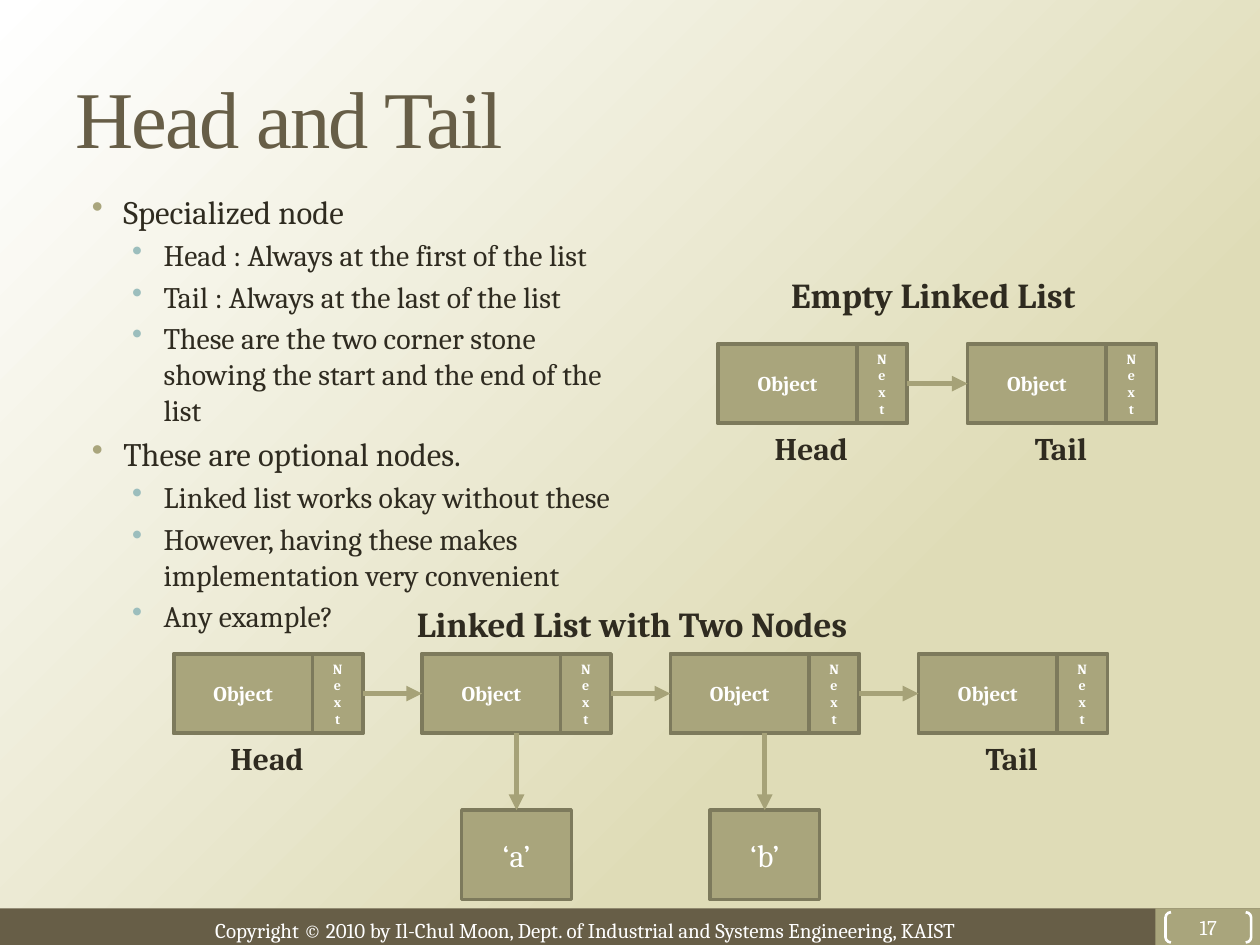
from copy import deepcopy
from dataclasses import dataclass

from pptx import Presentation
from pptx.dml.color import RGBColor
from pptx.enum.shapes import MSO_CONNECTOR, MSO_SHAPE
from pptx.enum.text import MSO_ANCHOR, MSO_AUTO_SIZE, PP_ALIGN
from pptx.oxml.ns import qn
from pptx.oxml.xmlchemy import OxmlElement
from pptx.util import Inches, Pt

RECT, BRACKETS = MSO_SHAPE.RECTANGLE, MSO_SHAPE.DOUBLE_BRACKET
STRAIGHT = MSO_CONNECTOR.STRAIGHT
MIDDLE, CENTER, LEFT = MSO_ANCHOR.MIDDLE, PP_ALIGN.CENTER, PP_ALIGN.LEFT
FIT, NO_FIT = MSO_AUTO_SIZE.SHAPE_TO_FIT_TEXT, MSO_AUTO_SIZE.NONE
TOP_SIDE, LEFT_SIDE, BOTTOM_SIDE, RIGHT_SIDE = range(4)

COLORS = {
    "bar": "675E47", "box": "A9A57C", "edge": "7D7A5C", "arrow": "A6A278",
    "ink": "2F2B20", "white": "FFFFFF", "sand": "DFDCB7", "sub": "9CBEBD",
}
NODE_W, NODE_H, OBJECT_W = 1.5, 0.63, 1.1
VALUE_W, VALUE_H, VALUE_TOP = 0.87, 0.71, 6.43


@dataclass
class Level:
    size: float
    margin: float
    bullet: str


@dataclass
class Label:
    text: str
    left: float
    top: float
    width: float
    height: float
    size: float
    color: str = "ink"
    bold: bool = True


@dataclass
class LinkedList:
    left: float
    top: float
    step: float
    values: tuple


LEVELS = (Level(18.7, 0.38, "box"), Level(17, 0.7, "sub"))
BODY = (
    (0, "Specialized node"),
    (1, "Head : Always at the first of the list"),
    (1, "Tail : Always at the last of the list"),
    (1, "These are the two corner stone showing the start and the end of the list"),
    (0, "These are optional nodes."),
    (1, "Linked list works okay without these"),
    (1, "However, having these makes implementation very convenient"),
    (1, "Any example?"),
)
LISTS = (
    LinkedList(1.38, 5.19, 1.97, (None, "‘a’", "‘b’", None)),
    LinkedList(5.7, 2.73, 1.98, (None, None)),
)
LABELS = (
    Label("Copyright © 2010 by Il-Chul Moon, Dept. of Industrial and Systems Engineering, KAIST",
          1.61, 7.23, 6.41, 0.3, 12, "white", False),
    Label("Empty Linked List", 6.18, 2.12, 2.52, 0.44, 20),
    Label("Linked List with Two Nodes", 3.21, 4.73, 3.73, 0.44, 20),
)


def rgb(name: str) -> RGBColor:
    return RGBColor.from_string(COLORS[name])


def write(p, text: str, size: float, color: str, align=LEFT, bold=False, name="Cambria") -> None:
    p.text = text
    p.alignment = align
    for r in p.runs:
        for attr, value in {"name": name, "size": Pt(size), "bold": bold}.items():
            setattr(r.font, attr, value)
        r.font.color.rgb = rgb(color)
    for br in p._p.findall(qn("a:br")):
        br.append(deepcopy(p.runs[0]._r.rPr))


def add_box(shapes, left: float, top: float, width: float, height: float, fill="box",
            edge="edge", weight=2, text="", size=12, bold=False, kind=RECT):
    sp = shapes.add_shape(kind, Inches(left), Inches(top), Inches(width), Inches(height))
    sp.shadow.inherit = False
    if fill:
        sp.fill.solid()
        sp.fill.fore_color.rgb = rgb(fill)
    else:
        sp.fill.background()
    if edge:
        sp.line.color.rgb = rgb(edge)
        sp.line.width = Pt(weight)
    else:
        sp.line.fill.background()
    if text:
        sp.text_frame.vertical_anchor = MIDDLE
        write(sp.text_frame.paragraphs[0], text, size, "white", CENTER, bold)
    return sp


def add_text_frame(shapes, left: float, top: float, width: float, height: float,
                   wrap=True, fit=NO_FIT):
    tf = shapes.add_textbox(Inches(left), Inches(top), Inches(width), Inches(height)).text_frame
    tf.word_wrap = wrap
    tf.auto_size = fit
    return tf


def add_label(shapes, label: Label) -> None:
    tf = add_text_frame(shapes, label.left, label.top, label.width, label.height, False, FIT)
    write(tf.paragraphs[0], label.text, label.size, label.color, bold=label.bold)


def add_arrow(shapes, start, start_side: int, end, end_side: int) -> None:
    line = shapes.add_connector(STRAIGHT, 0, 0, 0, 0)
    line.begin_connect(start, start_side)
    line.end_connect(end, end_side)
    line.line.color.rgb = rgb("arrow")
    line.line.width = Pt(3)
    tail = OxmlElement("a:tailEnd")
    tail.set("type", "triangle")
    line.line._get_or_add_ln().append(tail)
    line._element.spPr.append(OxmlElement("a:effectLst"))


def add_node(shapes, left: float, top: float):
    group = shapes.add_group_shape().shapes
    frame = add_box(group, left, top, NODE_W, NODE_H)
    add_box(group, left + OBJECT_W, top, NODE_W - OBJECT_W, NODE_H,
            text="N\ne\nx\nt", size=8, bold=True)
    add_box(group, left, top, OBJECT_W, NODE_H, text="Object", bold=True)
    return frame


def add_linked_list(shapes, chain: LinkedList) -> None:
    lefts = [chain.left + i * chain.step for i in range(len(chain.values))]
    nodes = [add_node(shapes, left, chain.top) for left in lefts]
    for node, following in zip(nodes, nodes[1:]):
        add_arrow(shapes, node, RIGHT_SIDE, following, LEFT_SIDE)
    for node, left, value in zip(nodes, lefts, chain.values):
        if value:
            box = add_box(shapes, left + (NODE_W - VALUE_W) / 2, VALUE_TOP, VALUE_W, VALUE_H,
                          text=value, size=18)
            add_arrow(shapes, node, BOTTOM_SIDE, box, TOP_SIDE)
    for text, left, width in (("Head", lefts[0], 0.8), ("Tail", lefts[-1], 0.63)):
        add_label(shapes, Label(text, left + (NODE_W - width) / 2, chain.top + NODE_H,
                                width, 0.4, 18))


def add_body(shapes) -> None:
    tf = add_text_frame(shapes, 0.5, 1.47, 4.58, 3.31)
    for i, (depth, text) in enumerate(BODY):
        level = LEVELS[depth]
        p = tf.paragraphs[0] if i == 0 else tf.add_paragraph()
        write(p, text, level.size, "ink")
        p.level = depth
        p.space_before = Pt(round(0.2 * level.size, 1) if i else 0)
        pPr = p._p.get_or_add_pPr()
        pPr.set("marL", str(Inches(level.margin)))
        pPr.set("indent", str(Inches(-0.25)))
        color, srgb, bullet = (OxmlElement(t) for t in ("a:buClr", "a:srgbClr", "a:buChar"))
        srgb.set("val", COLORS[level.bullet])
        color.append(srgb)
        bullet.set("char", "•")
        pPr.extend((color, bullet))


def main() -> None:
    prs = Presentation()
    prs.slide_width, prs.slide_height = Inches(10), Inches(7.5)
    s = prs.slides.add_slide(prs.slide_layouts[6])
    fill = s.background.fill
    fill.gradient()
    fill.gradient_angle = 135
    for stop, position, color in zip(fill.gradient_stops, (0.31, 1), ("sand", "white")):
        stop.position = position
        stop.color.rgb = rgb(color)

    add_box(s.shapes, 0, 7.21, 10, 0.29, "bar", None)
    add_box(s.shapes, 9.17, 7.21, 0.83, 0.29, "box", None)
    number = add_box(s.shapes, 9.25, 7.24, 0.68, 0.24, None, "white", 1.5, "17", kind=BRACKETS)
    number.adjustments[0] = 0.18
    for side in ("left", "top", "right", "bottom"):
        setattr(number.text_frame, f"margin_{side}", 0)

    tf = add_text_frame(s.shapes, 0.5, 0.3, 9.22, 1.24)
    tf.vertical_anchor = MIDDLE
    p = tf.paragraphs[0]
    write(p, "Head and Tail", 46, "bar", name="Times New Roman")
    p.runs[0]._r.rPr.set("spc", "-100")

    add_body(s.shapes)
    for chain in LISTS:
        add_linked_list(s.shapes, chain)
    for label in LABELS:
        add_label(s.shapes, label)
    prs.save("out.pptx")


if __name__ == "__main__":
    main()
